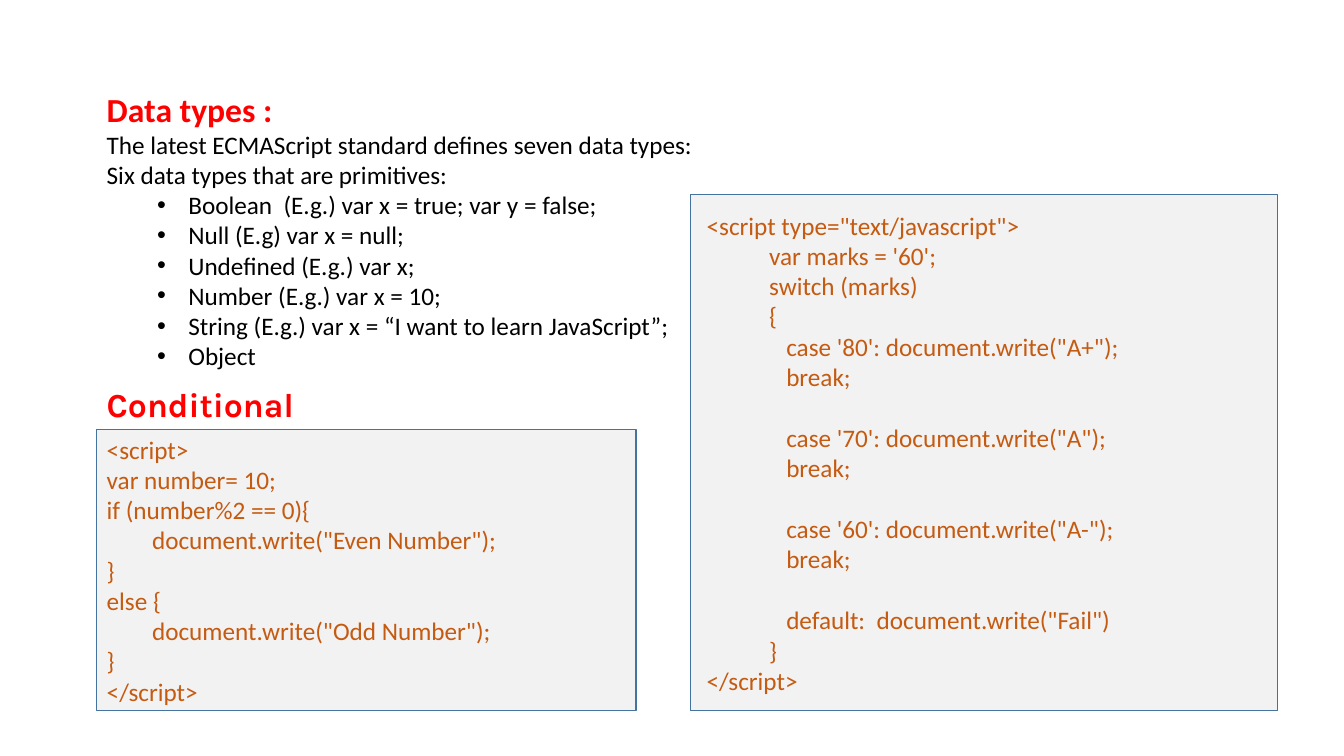
from dataclasses import dataclass

import pptx
import pptx.dml.color
import pptx.enum.shapes
import pptx.enum.text
import pptx.oxml
import pptx.oxml.ns
import pptx.util

Inches = pptx.util.Inches
Pt = pptx.util.Pt
RGBColor = pptx.dml.color.RGBColor

RED = RGBColor(0xFF, 0x00, 0x00)
BLACK = RGBColor(0x00, 0x00, 0x00)
ORANGE = RGBColor(0xC5, 0x5A, 0x11)
PANEL_GRAY = RGBColor(0xF2, 0xF2, 0xF2)
BORDER_BLUE = RGBColor(0x43, 0x73, 0x9E)

CODE_LINE_HEIGHT = Pt(22)
BULLET_MARGIN = Inches(0.81)
BULLET_HANGING = Inches(-0.31)


@dataclass(frozen=True)
class TextStyle:
    color: RGBColor
    size: int = 18
    font: str = "Calibri"
    bold: bool = False


@dataclass(frozen=True)
class Line:
    text: str
    style: TextStyle
    indent: float = 0
    bullet: bool = False
    gap_before: bool = False


@dataclass(frozen=True)
class Block:
    left: float
    top: float
    width: float
    height: float
    lines: list[Line]
    panel: bool = False


HEADING = TextStyle(RED, size=24, bold=True)
KARLA_HEADING = TextStyle(RED, size=24, font="Karla", bold=True)
BODY = TextStyle(BLACK)
CODE = TextStyle(ORANGE)


def write_line(paragraph, line: Line) -> None:
    run = paragraph.add_run()
    run.text = line.text
    run.font.color.rgb = line.style.color
    font_values = {
        "name": line.style.font,
        "size": Pt(line.style.size),
        "bold": line.style.bold,
    }
    for name, value in font_values.items():
        setattr(run.font, name, value)
    paragraph.alignment = pptx.enum.text.PP_ALIGN.LEFT
    if line.gap_before:
        paragraph.space_before = CODE_LINE_HEIGHT
    properties = paragraph._p.get_or_add_pPr()
    if line.bullet:
        paragraph.level = 1
        properties.set("marL", str(BULLET_MARGIN))
        properties.set("indent", str(BULLET_HANGING))
        for tag, name, value in (
            ("a:buFont", "typeface", "Arial"),
            ("a:buChar", "char", "•"),
        ):
            element = pptx.oxml.parse_xml(f"<{tag} {pptx.oxml.ns.nsdecls('a')}/>")
            element.set(name, value)
            properties.append(element)
    else:
        properties.set("marL", str(Inches(line.indent)))
        properties.set("indent", "0")


def draw_block(slide, block: Block) -> None:
    bounds = [Inches(v) for v in (block.left, block.top, block.width, block.height)]
    if block.panel:
        shape = slide.shapes.add_shape(
            pptx.enum.shapes.MSO_SHAPE.RECTANGLE, *bounds
        )
        shape.shadow.inherit = False
        shape.fill.solid()
        shape.fill.fore_color.rgb = PANEL_GRAY
        shape.line.color.rgb = BORDER_BLUE
        shape.line.width = Pt(1)
        anchor = pptx.enum.text.MSO_ANCHOR.MIDDLE
    else:
        shape = slide.shapes.add_textbox(*bounds)
        anchor = pptx.enum.text.MSO_ANCHOR.TOP
    frame = shape.text_frame
    frame.word_wrap = True
    frame.vertical_anchor = anchor
    for index, line in enumerate(block.lines):
        paragraph = frame.paragraphs[0] if index == 0 else frame.add_paragraph()
        write_line(paragraph, line)


DATA_TYPES = [
    "Boolean  (E.g.) var x = true; var y = false;",
    "Null (E.g) var x = null;",
    "Undefined (E.g.) var x;",
    "Number (E.g.) var x = 10;",
    "String (E.g.) var x = “I want to learn JavaScript”;",
    "Object",
]

IF_CODE = [
    ("<script>", 0),
    ("var number= 10;", 0),
    ("if (number%2 == 0){", 0),
    ('document.write("Even Number");', 0.45),
    ("}", 0),
    ("else {", 0),
    ('document.write("Odd Number");', 0.45),
    ("}", 0),
    ("</script>", 0),
]

TAG_INDENT, BODY_INDENT, CASE_INDENT = 0.06, 0.68, 0.85
GRADES = [("80", "A+"), ("70", "A"), ("60", "A-")]

switch_lines = [Line('<script type="text/javascript">', CODE, TAG_INDENT)]
for statement in ("var marks = '60';", "switch (marks)", "{"):
    switch_lines.append(Line(statement, CODE, BODY_INDENT))
for position, (marks, grade) in enumerate(GRADES):
    case_text = f"case '{marks}': document.write(\"{grade}\");"
    switch_lines.append(
        Line(case_text, CODE, CASE_INDENT, gap_before=position > 0)
    )
    switch_lines.append(Line("break;", CODE, CASE_INDENT))
switch_lines += [
    Line('default:  document.write("Fail")', CODE, CASE_INDENT, gap_before=True),
    Line("}", CODE, BODY_INDENT),
    Line("</script>", CODE, TAG_INDENT),
]

data_type_lines = [
    Line("Data types :", HEADING),
    Line("The latest ECMAScript standard defines seven data types:", BODY),
    Line("Six data types that are\u00a0primitives:", BODY),
    *[Line(text, BODY, bullet=True) for text in DATA_TYPES],
]

BLOCKS = [
    Block(0.96, 0.83, 10.45, 2.93, data_type_lines),
    Block(0.96, 3.76, 3.91, 0.5, [Line("Conditional", KARLA_HEADING)]),
    Block(
        0.96, 4.26, 5.35, 2.79,
        [Line(text, CODE, indent) for text, indent in IF_CODE], panel=True,
    ),
    Block(6.85, 1.93, 5.82, 5.12, switch_lines, panel=True),
]

presentation = pptx.Presentation()
presentation.slide_width = Inches(13.33)
presentation.slide_height = Inches(7.5)
slide = presentation.slides.add_slide(presentation.slide_layouts[6])
for block in BLOCKS:
    draw_block(slide, block)
presentation.save("out.pptx")
